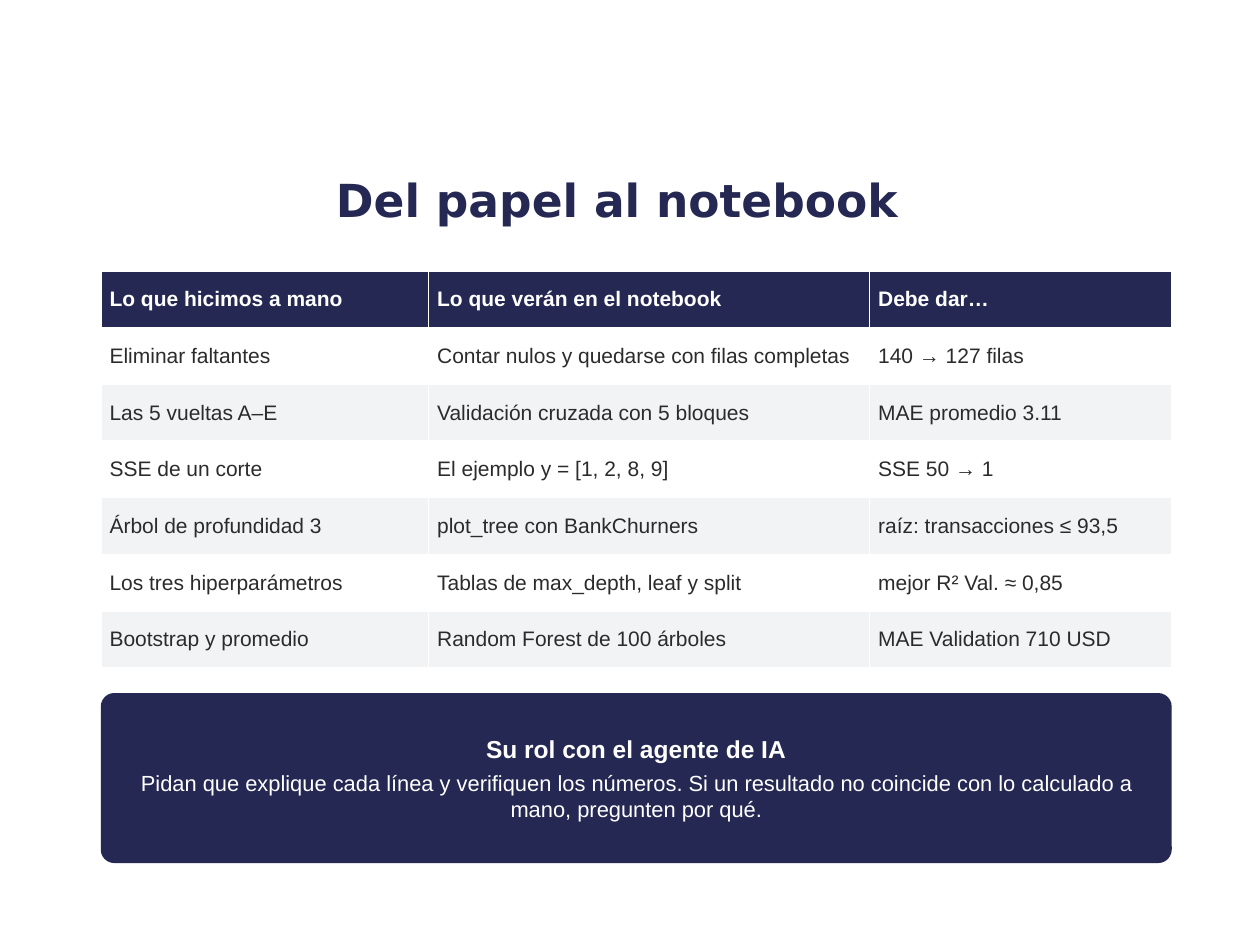
"""Build the slide that links the work done by hand to the notebook."""
from pptx import Presentation
from pptx import util as u
from pptx.dml.color import RGBColor
from pptx.enum import shapes, text

NAVY, WHITE, GREY, INK = "242852", "FFFFFF", "F2F3F5", "2B2B2B"


def px(length):
    return u.Emu(length * 9144)


def style(paragraph, face, size, color, bold=False):
    paragraph.font.name = face
    paragraph.font.size = u.Pt(size)
    paragraph.font.bold = bold
    paragraph.font.color.rgb = RGBColor.from_string(color)


deck = Presentation()
deck.slide_width, deck.slide_height = px(1000), px(750)
slide = deck.slides.add_slide(deck.slide_layouts[5])

title = slide.shapes.title
title.left, title.top, title.width, title.height = px(75), px(118), px(830), px(80)
title.text_frame.text = "Del papel al notebook"
title.text_frame.vertical_anchor = text.MSO_ANCHOR.MIDDLE
title.text_frame.paragraphs[0].alignment = text.PP_ALIGN.CENTER
style(title.text_frame.paragraphs[0], "DejaVu Sans", 26, NAVY, True)

steps = [
    ("Lo que hicimos a mano", "Lo que verán en el notebook", "Debe dar…"),
    ("Eliminar faltantes", "Contar nulos y quedarse con filas completas", "140 → 127 filas"),
    ("Las 5 vueltas A–E", "Validación cruzada con 5 bloques", "MAE promedio 3.11"),
    ("SSE de un corte", "El ejemplo y = [1, 2, 8, 9]", "SSE 50 → 1"),
    ("Árbol de profundidad 3", "plot_tree con BankChurners", "raíz: transacciones ≤ 93,5"),
    ("Los tres hiperparámetros", "Tablas de max_depth, leaf y split", "mejor R² Val. ≈ 0,85"),
    ("Bootstrap y promedio", "Random Forest de 100 árboles", "MAE Validation 710 USD"),
]
comparison = slide.shapes.add_table(
    len(steps), 3, px(80), px(215), px(850), px(45 * len(steps))).table
for column, width in zip(comparison.columns, (260, 350, 240)):
    column.width = px(width)
for row, step in enumerate(steps):
    header = row == 0
    fill = NAVY if header else WHITE if row % 2 else GREY
    for col, entry in enumerate(step):
        cell = comparison.cell(row, col)
        cell.text = entry
        cell.vertical_anchor = text.MSO_ANCHOR.MIDDLE
        cell.margin_left = cell.margin_right = px(7)
        cell.margin_top = cell.margin_bottom = px(3)
        cell.fill.solid()
        cell.fill.fore_color.rgb = RGBColor.from_string(fill)
        style(cell.text_frame.paragraphs[0], "Arial", 12, WHITE if header else INK, header)

role = slide.shapes.add_shape(
    shapes.MSO_SHAPE.ROUNDED_RECTANGLE, px(80), px(550), px(850), px(135))
role.adjustments[0] = 0.08
role.shadow.inherit = False
role.fill.solid()
role.fill.fore_color.rgb = RGBColor.from_string(NAVY)
role.line.fill.background()
advice = role.text_frame
advice.word_wrap = True
advice.vertical_anchor = text.MSO_ANCHOR.MIDDLE
advice.margin_left = advice.margin_right = px(8)
advice.margin_top = advice.margin_bottom = px(8)
advice.text = (
    "Su rol con el agente de IA\n"
    "Pidan que explique cada línea y verifiquen los números. "
    "Si un resultado no coincide con lo calculado a mano, pregunten por qué.")
for paragraph, size, bold in zip(advice.paragraphs, (14, 12.5), (True, False)):
    paragraph.alignment = text.PP_ALIGN.CENTER
    paragraph.space_after = u.Pt(3)
    style(paragraph, "Arial", size, WHITE, bold)

deck.save("out.pptx")
